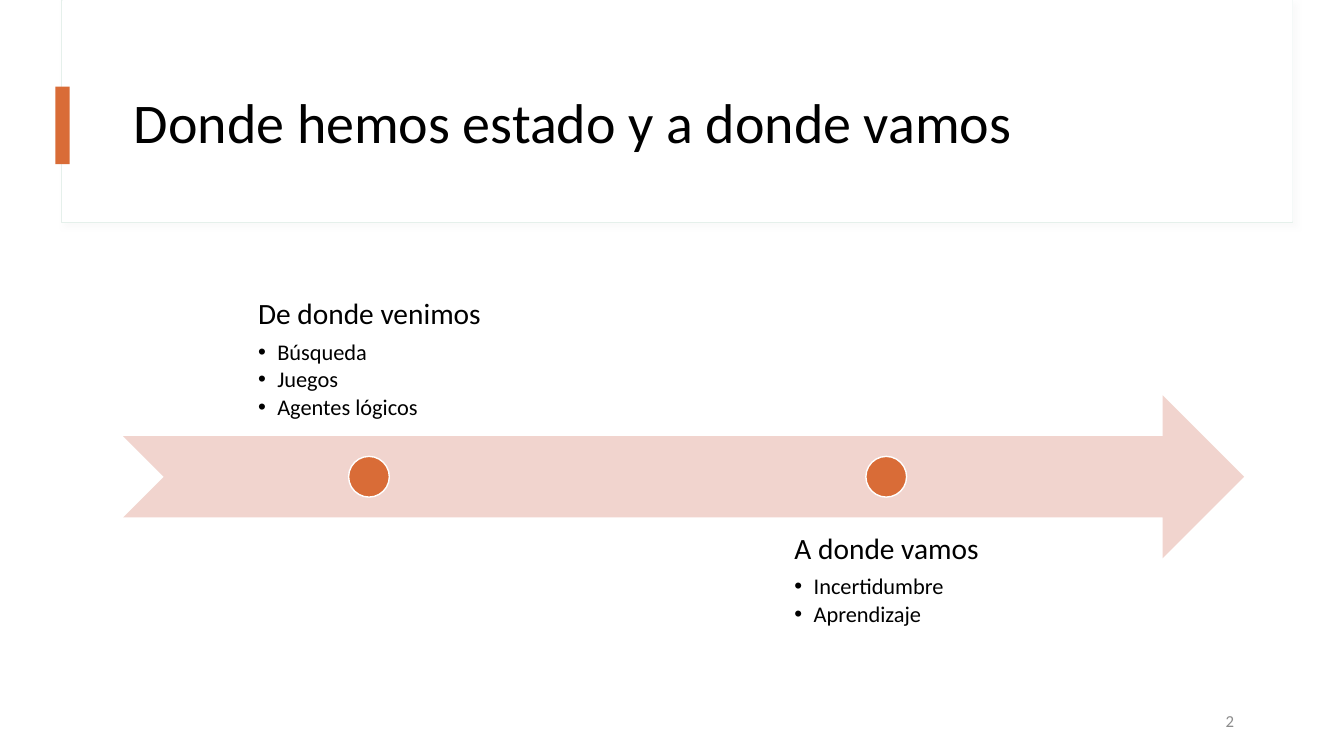
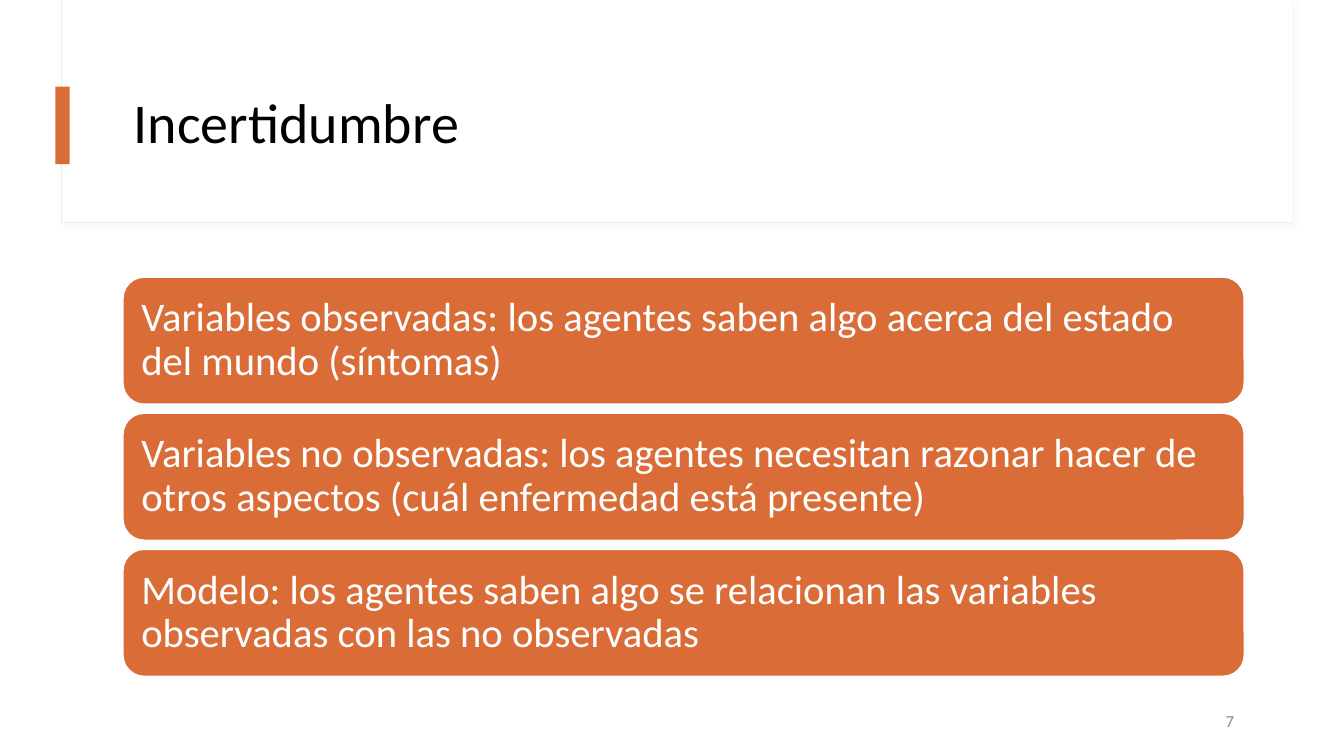
import lxml.etree
import pptx
import pptx.dml.color
import pptx.enum.shapes
import pptx.enum.text
import pptx.oxml.ns
import pptx.util

Inches, Pt = pptx.util.Inches, pptx.util.Pt
SHAPE = pptx.enum.shapes.MSO_SHAPE
ANCHOR = pptx.enum.text.MSO_ANCHOR
ALIGN = pptx.enum.text.PP_ALIGN
qn = pptx.oxml.ns.qn

HUES = {
    "white": "FFFFFF",
    "black": "000000",
    "accent": "D96C37",
    "pale": "F1D4CE",
    "frame": "E5F0EB",
    "shade": "D9D9D9",
    "gray": "8C8C8C",
}
FONT = "Calibri"
BODY = (1.22, 2.71, 11.12, 4.04)
STOPS = [
    ("De donde venimos", 2.2, ["Búsqueda", "Juegos", "Agentes lógicos"]),
    ("A donde vamos", 1.82, ["Incertidumbre", "Aprendizaje"]),
]
CARDS = [
    "Variables observadas: los agentes saben algo acerca del estado del mundo (síntomas)",
    "Variables no observadas: los agentes necesitan razonar hacer de otros aspectos"
    " (cuál enfermedad está presente)",
    "Modelo: los agentes saben algo se relacionan las variables observadas con las no observadas",
]


def color(name):
    """Return the named colour."""
    return pptx.dml.color.RGBColor.from_string(HUES[name])


def add_block(slide, kind, box, fill, line=None, width=1):
    """Add a filled preset shape without a shadow."""
    shape = slide.shapes.add_shape(kind, *map(Inches, box))
    shape.shadow.inherit = False
    shape.fill.solid()
    shape.fill.fore_color.rgb = color(fill)
    if line:
        shape.line.color.rgb = color(line)
        shape.line.width = Pt(width)
    else:
        shape.line.fill.background()
    return shape


def set_frame(shape, anchor, pad=None):
    """Wrap and anchor the text of a shape, with equal insets if given."""
    frame = shape.text_frame
    frame.word_wrap = True
    frame.vertical_anchor = anchor
    if pad is not None:
        frame.margin_left = frame.margin_right = Inches(pad)
        frame.margin_top = frame.margin_bottom = Inches(pad)
    return frame


def set_para(para, text, size, hue, align=ALIGN.LEFT, after=0):
    """Fill one paragraph and style it; after is a share of the size."""
    para.text = text
    para.alignment = align
    para.line_spacing = 0.9
    para.space_after = Pt(round(size * after, 1))
    para.font.name = FONT
    para.font.size = Pt(size)
    para.font.color.rgb = color(hue)


def add_text(slide, box, text, size, hue, align=ALIGN.LEFT):
    """Add a one-paragraph text box, centred in height."""
    frame = set_frame(slide.shapes.add_textbox(*map(Inches, box)), ANCHOR.MIDDLE)
    set_para(frame.paragraphs[0], text, size, hue, align)


def set_bullet(para, indent):
    """Give a paragraph a hanging bullet."""
    props = para._p.get_or_add_pPr()
    props.set("marL", str(Inches(indent)))
    props.set("indent", str(-Inches(indent)))
    lxml.etree.SubElement(props, qn("a:buFont")).set("typeface", "Arial")
    lxml.etree.SubElement(props, qn("a:buChar")).set("char", "•")


def add_shade(shape):
    """Give a shape a soft outer shadow."""
    effects = shape._element.spPr.find(qn("a:effectLst"))
    outer = lxml.etree.SubElement(
        effects, qn("a:outerShdw"), blurRad=str(Pt(4)), dist=str(Pt(3)), dir="2700000"
    )
    tint = lxml.etree.SubElement(outer, qn("a:srgbClr"), val=HUES["shade"])
    lxml.etree.SubElement(tint, qn("a:alpha"), val="12000")


def add_page(deck, title, number):
    """Add a slide with its title frame, accent bar and page number."""
    slide = deck.slides.add_slide(deck.slide_layouts[6])
    panel = add_block(slide, SHAPE.RECTANGLE, (0.61, 0, 12.21, 2.21), "white", "frame", 0.75)
    add_shade(panel)
    add_block(slide, SHAPE.RECTANGLE, (0.62, 0, 12.2, 2.2), "white")
    add_block(slide, SHAPE.RECTANGLE, (0.55, 0.86, 0.14, 0.77), "accent")
    add_text(slide, (1.23, 0.6, 11.12, 1.29), title, 40, "black")
    add_text(slide, (9.34, 6.96, 3, 0.4), str(number), 12, "gray", ALIGN.RIGHT)
    return slide


def add_stop(slide, box, anchor, head, span, items):
    """Add a heading with bullets, its span centred in the box."""
    frame = set_frame(slide.shapes.add_textbox(*map(Inches, box)), anchor, 0.16)
    frame.margin_left = Inches((box[2] - span) / 2)
    set_para(frame.paragraphs[0], head, 21, "black", after=0.35)
    for item in items:
        para = frame.add_paragraph()
        set_para(para, item, 16, "black", after=0.15)
        set_bullet(para, 0.19)


def add_route(slide, box, stops):
    """Draw an arrow with stops set above and below it in turn."""
    left, top, width, height = box
    band, dot, gap = 0.4 * height, 0.1 * height, 0.25
    wide = 4.88
    middle = top + height / 2
    add_block(slide, SHAPE.NOTCHED_RIGHT_ARROW, (left, middle - band / 2, width, band), "pale")
    for index, (head, span, items) in enumerate(stops):
        x = left + index * (wide + gap)
        low = index % 2 == 1
        y = top + height - band if low else top
        anchor = ANCHOR.TOP if low else ANCHOR.BOTTOM
        add_stop(slide, (x, y, wide, band), anchor, head, span, items)
        spot = (x + (wide - dot) / 2, middle - dot / 2, dot, dot)
        add_block(slide, SHAPE.OVAL, spot, "accent", "white")


def add_cards(slide, box, texts):
    """Stack equal rounded cards down the box."""
    left, top, width, height = box
    gap = 0.09
    tall = (height - gap * (len(texts) - 1)) / len(texts)
    for index, text in enumerate(texts):
        place = (left, top + index * (tall + gap), width, tall)
        card = add_block(slide, SHAPE.ROUNDED_RECTANGLE, place, "accent", "white")
        frame = set_frame(card, ANCHOR.MIDDLE, 0.12)
        set_para(frame.paragraphs[0], text, 29, "white", after=0.35)


def main():
    """Build and save the deck."""
    deck = pptx.Presentation()
    deck.slide_width, deck.slide_height = Inches(13.33), Inches(7.5)
    add_route(add_page(deck, "Donde hemos estado y a donde vamos", 2), BODY, STOPS)
    add_cards(add_page(deck, "Incertidumbre", 7), (1.22, 2.75, 11.12, 3.96), CARDS)
    deck.save("out.pptx")


if __name__ == "__main__":
    main()
